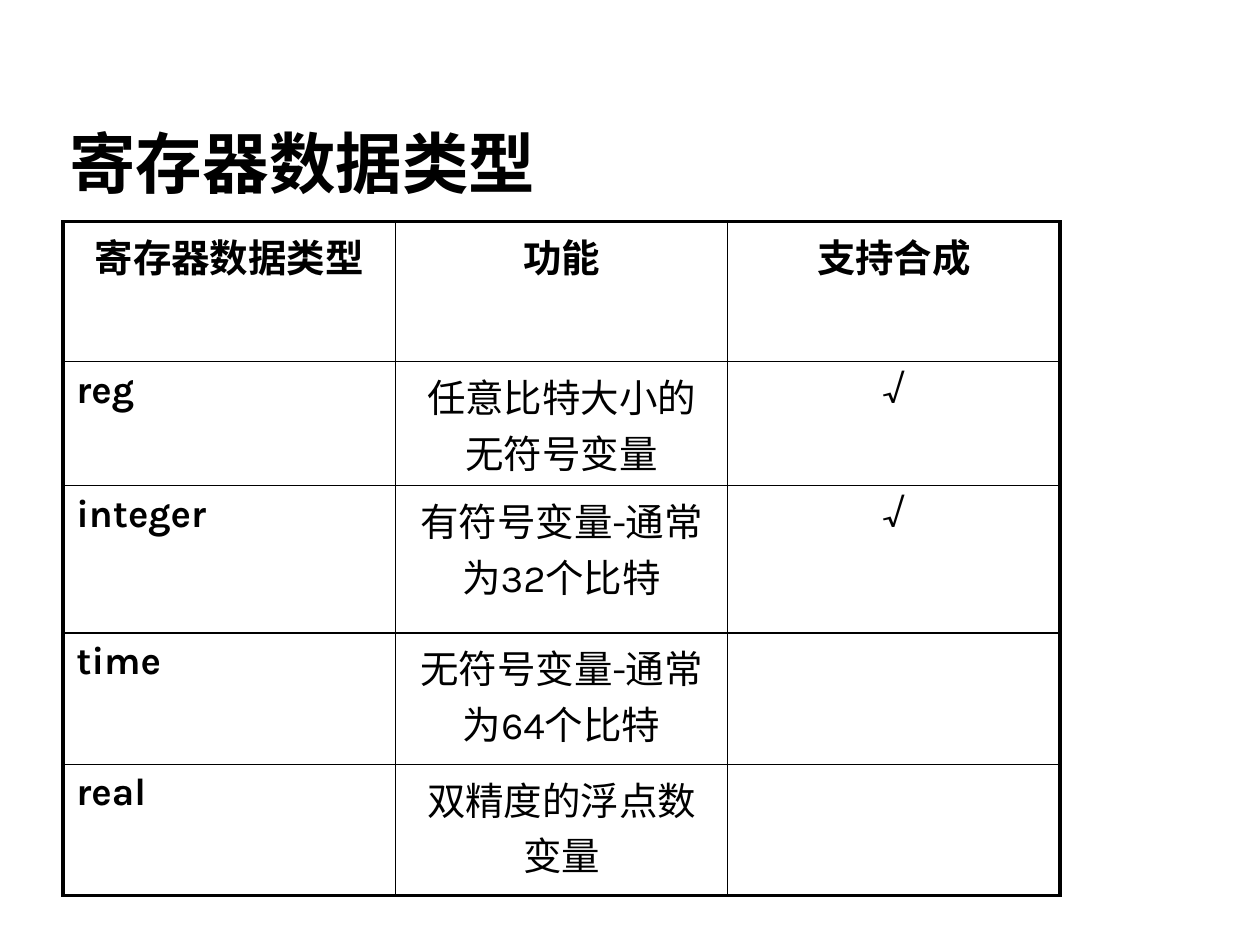
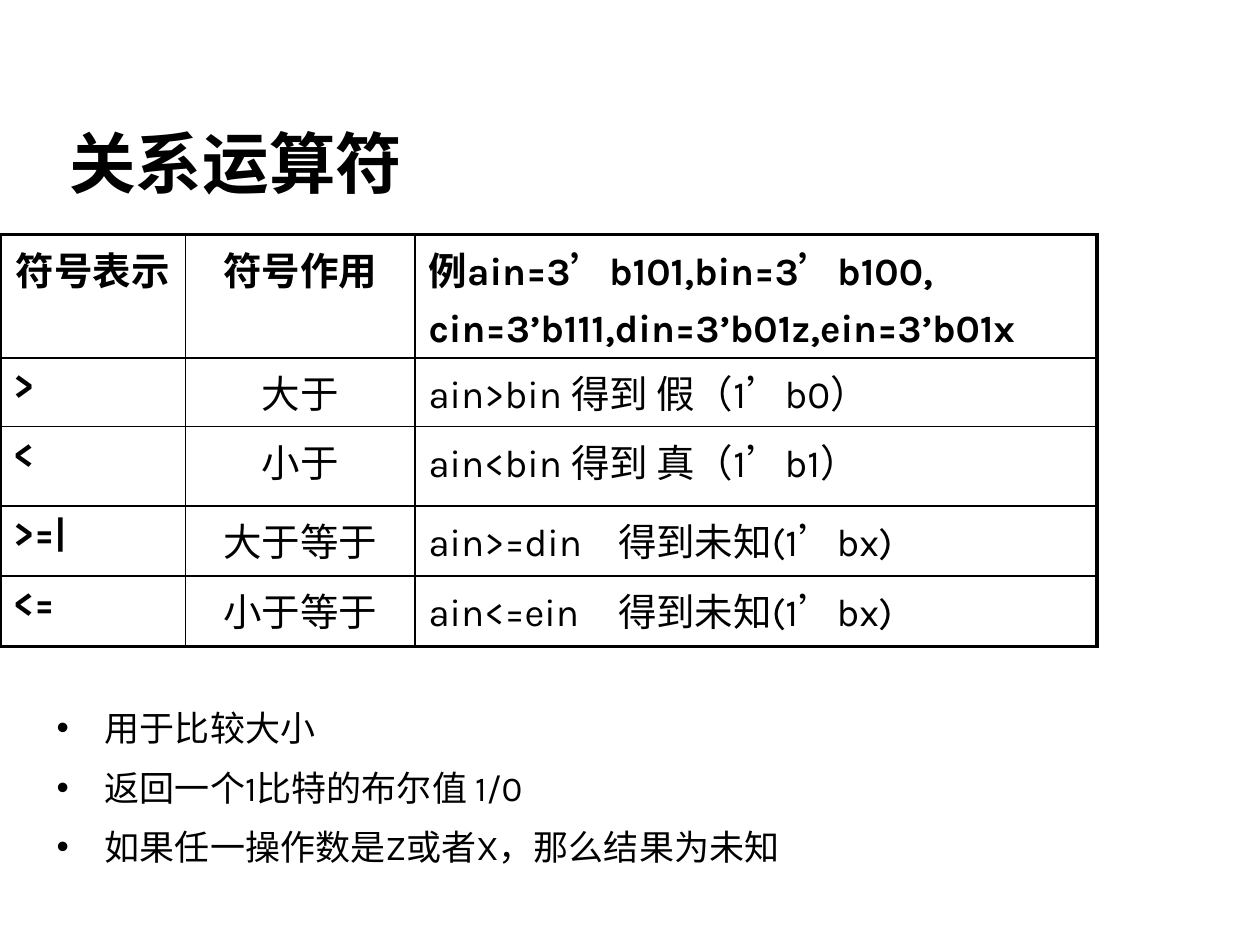
"""Build two slides on register data types and relational operators."""
from dataclasses import dataclass
from typing import Any

from lxml.etree import SubElement
from pptx import Presentation
from pptx.dml.color import RGBColor
from pptx.enum.text import MSO_ANCHOR as Anchor, MSO_AUTO_SIZE as AutoSize, PP_ALIGN as Align
from pptx.oxml.ns import qn
from pptx.util import Cm, Pt

INK = "000000"
FONT = "Karla"
OUTER, INNER = Pt(2.25), Pt(1)
RESULT_STOP = Cm(3.82)
NOTES_INDENT = Cm(0.97)
TITLE_BOX = (1.27, 0.89, 20.12, 3.18)
NOTES_BOX = (0.89, 14.12, 21.21, 3.63)
TITLE_FRAME = {"vertical_anchor": Anchor.BOTTOM, "word_wrap": True, "auto_size": AutoSize.NONE,
               "margin_left": Cm(0.13), "margin_right": Cm(0.13),
               "margin_top": 0, "margin_bottom": 0}
NOTES_FRAME = {"word_wrap": True, "auto_size": AutoSize.SHAPE_TO_FIT_TEXT}
CELL_MARGINS = {"margin_left": Cm(0.27), "margin_right": Cm(0.27)}
TITLE_FORMAT = {"size": Pt(38), "bold": True}
CELL_FORMAT = {"size": Pt(22)}
NOTES_FORMAT = {"size": Pt(20), "bold": False}


@dataclass(frozen=True)
class Grid:
    left: float
    top: float
    widths: tuple[float, ...]
    heights: tuple[float, ...]
    last_column: Align
    rows: tuple[tuple[str, ...], ...]


@dataclass(frozen=True)
class Topic:
    title: str
    grid: Grid
    notes: tuple[str, ...] = ()


TOPICS = (
    Topic("寄存器数据类型", Grid(
        1.27, 4.47, (6.7,) * 3, (2.82, 2.49, 2.97, 2.65, 2.64), Align.CENTER, (
            ("寄存器数据类型", "功能", "支持合成"),
            ("reg", "任意比特大小的无符号变量", "√"),
            ("integer", "有符号变量-通常为32个比特", "√"),
            ("time", "无符号变量-通常为64个比特", ""),
            ("real", "双精度的浮点数变量", ""),
        ))),
    Topic("关系运算符", Grid(
        0, 4.73, (3.74, 4.63, 13.74), (2.49, 1.38, 1.6, 1.41, 1.42), Align.LEFT, (
            ("符号表示", "符号作用", "例ain=3’b101,bin=3’b100,\ncin=3’b111,din=3’b01z,ein=3’b01x"),
            (">", "大于", "ain>bin 得到 假（1’b0）"),
            ("<", "小于", "ain<bin 得到 真（1’b1）"),
            (">=|", "大于等于", "ain>=din\t得到未知(1’bx)"),
            ("<=", "小于等于", "ain<=ein\t得到未知(1’bx)"),
        )), ("用于比较大小", "返回一个1比特的布尔值 1/0", "如果任一操作数是Z或者X，那么结果为未知")),
)


def color(value: str) -> RGBColor:
    """Turn a hex string into a colour."""
    return RGBColor.from_string(value)


def apply(target: Any, values: dict[str, Any]) -> None:
    """Set every named attribute on the target."""
    for name, value in values.items():
        setattr(target, name, value)


def write(frame: Any, text: str, letters: dict[str, Any], layout: dict[str, Any]) -> None:
    """Fill a text frame and format each of its paragraphs."""
    frame.text = text
    for paragraph in frame.paragraphs:
        apply(paragraph, layout)
        for run in paragraph.runs:
            apply(run.font, {"name": FONT, **letters})
            run.font.color.rgb = color(INK)


def place(holder: Any, box: tuple[float, ...]) -> None:
    """Move a placeholder to a box."""
    apply(holder, dict(zip(("left", "top", "width", "height"), map(Cm, box))))


def add_borders(cell: Any, at_edge: dict[str, bool]) -> None:
    """Draw the four cell borders, heavier along the table edge."""
    properties = cell._tc.get_or_add_tcPr()
    for side, edge in at_edge.items():
        line = SubElement(properties, qn(f"a:ln{side}"), w=str(int(OUTER if edge else INNER)))
        fill = SubElement(line, qn("a:solidFill"))
        SubElement(fill, qn("a:srgbClr"), val=INK)


def add_result_stop(paragraph: Any) -> None:
    """Align the result of a comparison at a tab stop."""
    stops = SubElement(paragraph._p.get_or_add_pPr(), qn("a:tabLst"))
    SubElement(stops, qn("a:tab"), pos=str(int(RESULT_STOP)), algn="l")


def add_grid(slide: Any, grid: Grid) -> None:
    """Add the ruled table of a topic."""
    last_row, last_column = len(grid.rows) - 1, len(grid.widths) - 1
    table = slide.shapes.add_table(
        len(grid.rows), len(grid.widths), Cm(grid.left), Cm(grid.top),
        Cm(sum(grid.widths)), Cm(sum(grid.heights))).table
    apply(table, {"first_row": False, "horz_banding": False})
    for column, width in zip(table.columns, grid.widths):
        column.width = Cm(width)
    for row, height in zip(table.rows, grid.heights):
        row.height = Cm(height)
    for r, texts in enumerate(grid.rows):
        alignments = (Align.LEFT if r else Align.CENTER, Align.CENTER, grid.last_column)
        for c, (text, alignment) in enumerate(zip(texts, alignments)):
            cell = table.cell(r, c)
            apply(cell, CELL_MARGINS)
            add_borders(cell, {"L": c == 0, "R": c == last_column, "T": r == 0, "B": r == last_row})
            cell.fill.background()
            write(cell.text_frame, text, {**CELL_FORMAT, "bold": r == 0 or c == 0},
                  {"alignment": alignment, "space_before": Pt(6)})
            if "\t" in text:
                add_result_stop(cell.text_frame.paragraphs[0])


def add_notes(holder: Any, notes: tuple[str, ...]) -> None:
    """Write the bulleted remarks into the body placeholder."""
    place(holder, NOTES_BOX)
    apply(holder.text_frame, NOTES_FRAME)
    write(holder.text_frame, "\n".join(notes), NOTES_FORMAT, {"space_before": Pt(10)})
    for paragraph in holder.text_frame.paragraphs:
        properties = paragraph._p.get_or_add_pPr()
        properties.set("marL", str(int(NOTES_INDENT)))
        properties.set("indent", str(-int(NOTES_INDENT)))


def add_topic(deck: Any, topic: Topic) -> None:
    """Add one slide with title, table and optional remarks."""
    slide = deck.slides.add_slide(deck.slide_layouts[1 if topic.notes else 5])
    title = slide.shapes.title
    place(title, TITLE_BOX)
    apply(title.text_frame, TITLE_FRAME)
    write(title.text_frame, topic.title, TITLE_FORMAT, {"alignment": Align.LEFT})
    add_grid(slide, topic.grid)
    if topic.notes:
        add_notes(slide.placeholders[1], topic.notes)


def main() -> None:
    """Build and save the deck."""
    deck = Presentation()
    apply(deck, {"slide_width": Cm(25.4), "slide_height": Cm(19.05)})
    for topic in TOPICS:
        add_topic(deck, topic)
    deck.save("out.pptx")


if __name__ == "__main__":
    main()
